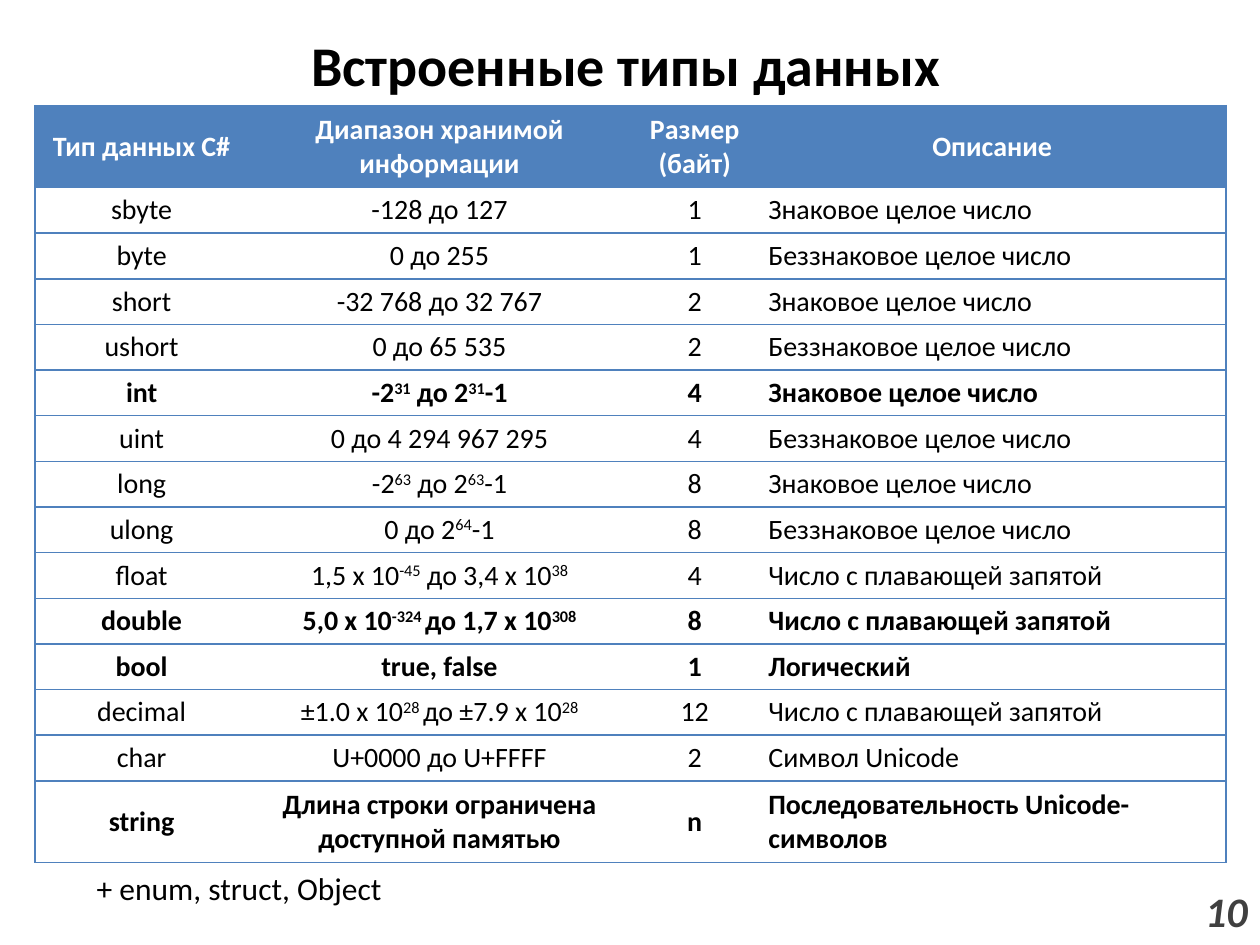
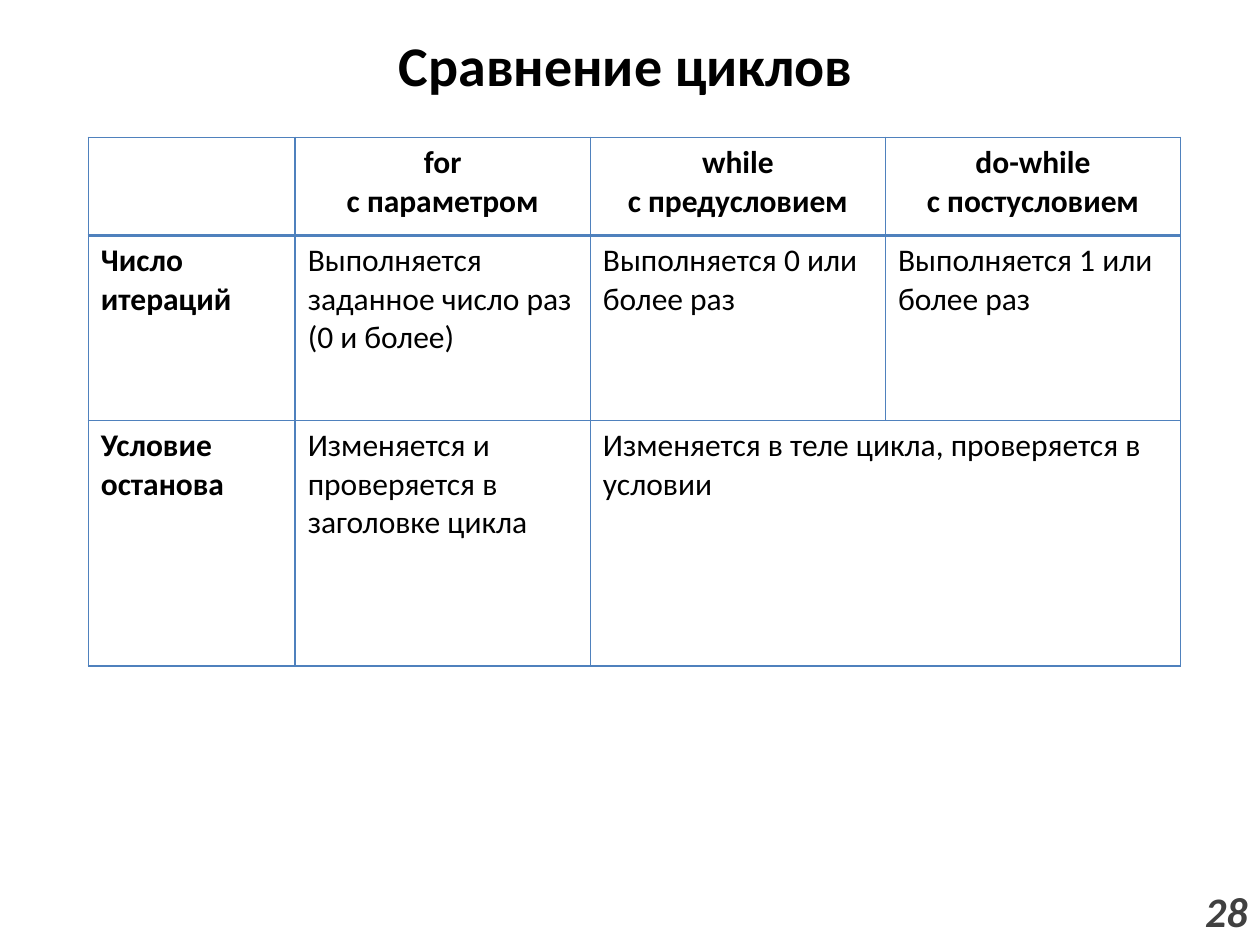
"""Build two C# lecture slides: built-in data types and a comparison of loops."""
from lxml import etree
from pptx import Presentation, util as u
from pptx.dml import color
from pptx.enum import text as t
from pptx.oxml import ns

FONT, BLUE, WHITE, BLACK, GREY = "Calibri", "4F81BD", "FFFFFF", "000000", "404040"
LEFT, CENTER, RIGHT = t.PP_ALIGN.LEFT, t.PP_ALIGN.CENTER, t.PP_ALIGN.RIGHT
TOP, MIDDLE = t.MSO_ANCHOR.TOP, t.MSO_ANCHOR.MIDDLE

SIGNED, UNSIGNED, FLOATING = (
    "Знаковое целое число", "Беззнаковое целое число", "Число с плавающей запятой")
TYPES = [
    ("Тип данных C#", "Диапазон хранимой информации", "Размер (байт)", "Описание"),
    ("sbyte", "-128 до 127", "1", SIGNED),
    ("byte", "0 до 255", "1", UNSIGNED),
    ("short", "-32 768 до 32 767", "2", SIGNED),
    ("ushort", "0 до 65 535", "2", UNSIGNED),
    ("int", "-2^31^ до 2^31^-1", "4", SIGNED),
    ("uint", "0 до 4 294 967 295", "4", UNSIGNED),
    ("long", "-2^63^ до 2^63^-1", "8", SIGNED),
    ("ulong", "0 до 2^64^-1", "8", UNSIGNED),
    ("float", "1,5 x 10^-45^ до 3,4 x 10^38^", "4", FLOATING),
    ("double", "5,0 x 10^-324 ^до 1,7 x 10^308^", "8", FLOATING),
    ("bool", "true, false", "1", "Логический"),
    ("decimal", "±1.0 x 10^28 ^до ±7.9 x 10^28^", "12", FLOATING),
    ("char", "U+0000 до U+FFFF", "2", "Символ Unicode"),
    ("string", "Длина строки ограничена доступной памятью", "n",
     "Последовательность Unicode-символов"),
]
KEY_TYPES = {"int", "double", "bool", "string"}
LOOPS = [
    ("", "for\nс параметром", "while\nс предусловием", "do-while\nс постусловием"),
    ("Число итераций", "Выполняется заданное число раз (0 и более)",
     "Выполняется 0 или более раз", "Выполняется 1 или более раз"),
    ("Условие останова", "Изменяется и проверяется в заголовке цикла",
     "Изменяется в теле цикла, проверяется в условии", ""),
]


def rgb(code):
    """Turn a hex string into a colour."""
    return color.RGBColor.from_string(code)


def write(frame, words, size=18, ink=BLACK, bold=False, italic=False, align=LEFT):
    """Fill a text frame; newlines part paragraphs, ^marks^ enclose superscripts."""
    for number, line in enumerate(words.split("\n")):
        paragraph = frame.add_paragraph() if number else frame.paragraphs[0]
        paragraph.alignment = align
        for order, piece in enumerate(line.split("^")):
            if not piece:
                continue
            run = paragraph.add_run()
            run.text = piece
            font = run.font
            font.name, font.size, font.bold, font.italic = FONT, u.Pt(size), bold, italic
            font.color.rgb = rgb(ink)
            if order % 2:
                font._element.set("baseline", "30000")


def place(shape, left, top, width, height):
    """Set a shape's position and size in centimetres."""
    shape.left, shape.top, shape.width, shape.height = map(u.Cm, (left, top, width, height))


def label(slide, words, box, anchor=TOP, wrap=True, **style):
    """Add a text box."""
    frame = slide.shapes.add_textbox(*map(u.Cm, box)).text_frame
    frame.word_wrap, frame.vertical_anchor = wrap, anchor
    write(frame, words, **style)


def new_slide(deck, heading, page):
    """Add a slide with the shared title and page number."""
    slide = deck.slides.add_slide(deck.slide_layouts[5])
    title = slide.shapes.title
    place(title, 1.19, 0, 22.86, 2.59)
    title.text_frame.vertical_anchor = MIDDLE
    write(title.text_frame, heading, size=32, bold=True, align=CENTER)
    label(slide, str(page), (23.01, 17.65, 2.39, 1.4), anchor=MIDDLE,
          size=24, ink=GREY, bold=True, italic=True, align=RIGHT)
    return slide


def new_table(slide, left, top, widths, heights):
    """Add an unbanded table with the given column widths and row heights."""
    box = map(u.Cm, (left, top, sum(widths), sum(heights)))
    table = slide.shapes.add_table(len(heights), len(widths), *box).table
    table.first_row = table.horz_banding = False
    for column, width in zip(table.columns, widths):
        column.width = u.Cm(width)
    for row, height in zip(table.rows, heights):
        row.height = u.Cm(height)
    return table


def border(cell, **weights):
    """Draw the cell's L, R, T and B edges in points; zero hides an edge."""
    properties = cell._tc.get_or_add_tcPr()
    for side in "LRTB":
        line = etree.SubElement(properties, ns.qn(f"a:ln{side}"), w=str(u.Pt(weights[side])))
        if weights[side]:
            paint = etree.SubElement(line, ns.qn("a:solidFill"))
            etree.SubElement(paint, ns.qn("a:srgbClr"), val=BLUE)
        else:
            etree.SubElement(line, ns.qn("a:noFill"))


def types_slide(deck):
    """Build the table of data types."""
    slide = new_slide(deck, "Встроенные типы данных", 10)
    heights = [1.65] + [0.92] * (len(TYPES) - 2) + [1.65]
    table = new_table(slide, 0.71, 2.13, (4.29, 7.72, 2.57, 9.42), heights)
    for r, row in enumerate(TYPES):
        header = r == 0
        for c, words in enumerate(row):
            cell = table.cell(r, c)
            border(cell, L=int(c == 0), R=int(c == 3), T=1, B=1)
            cell.fill.solid()
            cell.fill.fore_color.rgb = rgb(BLUE if header else WHITE)
            cell.vertical_anchor = MIDDLE
            cell.margin_left = cell.margin_right = u.Cm(0.2)
            cell.margin_top = cell.margin_bottom = u.Cm(0.1)
            write(cell.text_frame, words, size=16, ink=WHITE if header else BLACK,
                  bold=header or row[0] in KEY_TYPES,
                  align=CENTER if header or c < 3 else LEFT)
    label(slide, "+ enum, struct, Object", (1.7, 17.4, 6.32, 1.02), wrap=False)


def loops_slide(deck):
    """Build the comparison of loops."""
    slide = new_slide(deck, "Сравнение циклов", 28)
    table = new_table(slide, 1.78, 2.77, [4.17] + [5.95] * 3, (1.98, 3.73, 4.95))
    table.cell(2, 2).merge(table.cell(2, 3))
    for r, row in enumerate(LOOPS):
        for c, words in enumerate(row):
            cell = table.cell(r, c)
            border(cell, L=1, R=1, T=2 if r == 1 else 1, B=2 if r == 0 else 1)
            cell.fill.background()
            write(cell.text_frame, words, bold=r == 0 or c == 0,
                  align=LEFT if r else CENTER)


deck = Presentation()
deck.slide_width, deck.slide_height = u.Cm(25.4), u.Cm(19.05)
types_slide(deck)
loops_slide(deck)
deck.save("out.pptx")
